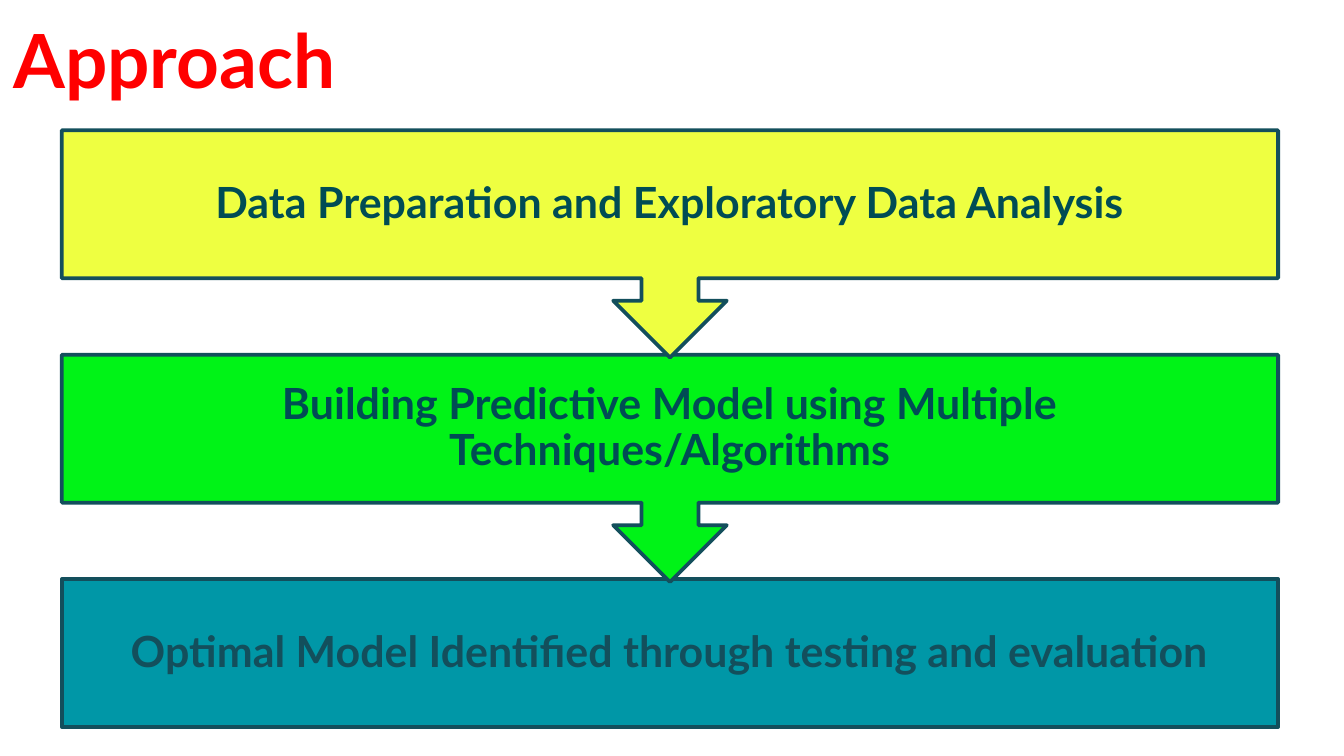
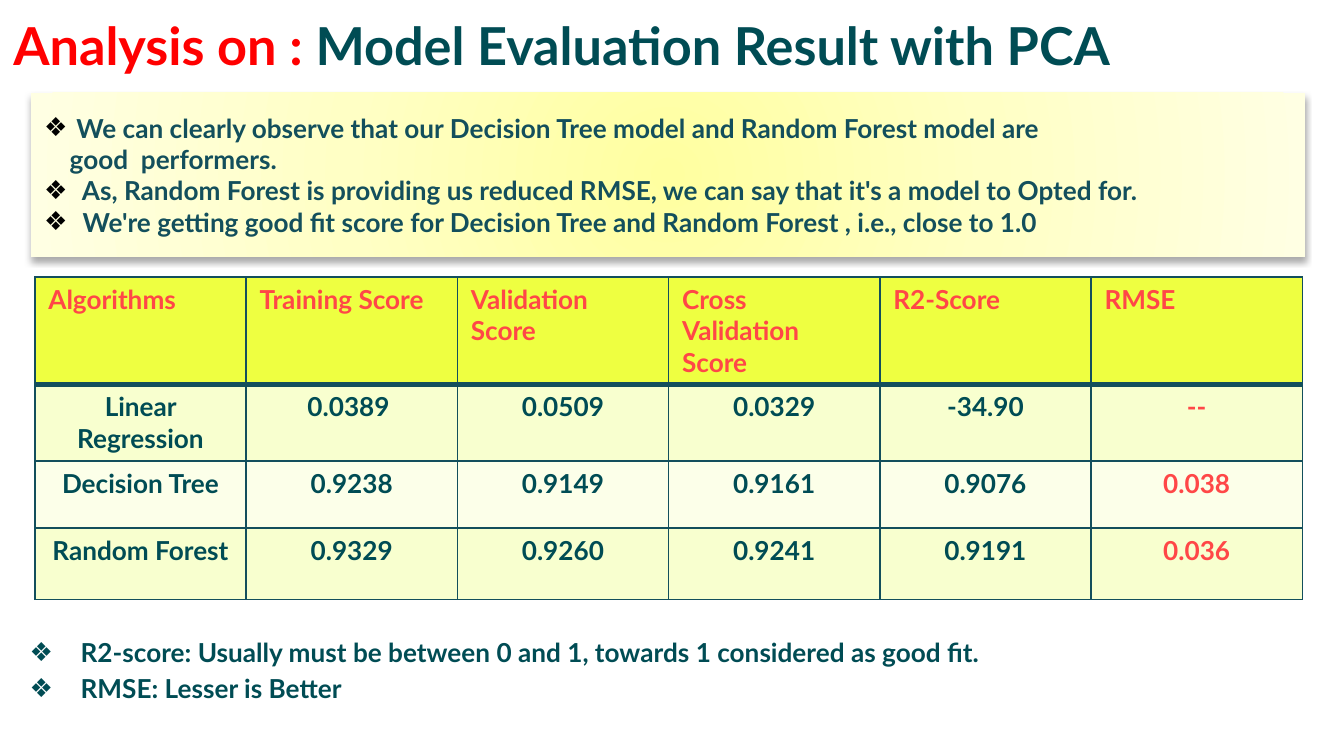
from dataclasses import dataclass

from lxml import etree
from pptx import Presentation
from pptx import util as u
from pptx.dml.color import RGBColor
from pptx.enum import shapes, text
from pptx.oxml import ns


@dataclass(frozen=True)
class Theme:
    font: str = "Lato"
    bullet_font: str = "Arial"
    red: str = "FF0000"
    coral: str = "FF4747"
    deep: str = "004C54"
    slate: str = "134F5C"
    yellow: str = "EEFF41"
    green: str = "00F317"
    teal: str = "0097A7"
    black: str = "000000"
    bands: tuple = ("F8FFCF", "FCFFE9")
    glow: tuple = ((0, "FFFFA0"), (50, "FFFFC5"), (100, "FFFFE3"))
    title_size: int = 40
    subtitle_size: int = 28
    step_size: int = 23
    text_size: int = 14


@dataclass(frozen=True)
class Box:
    left: float
    top: float
    width: float
    height: float

    def lengths(self):
        return [u.Inches(value) for value in (self.left, self.top, self.width, self.height)]


THEME = Theme()
STEPS = [
    ("Data Preparation and Exploratory Data Analysis", THEME.yellow, THEME.deep),
    ("Building Predictive Model using Multiple Techniques/Algorithms", THEME.green, THEME.deep),
    ("Optimal Model Identified through testing and evaluation", THEME.teal, THEME.slate),
]
FINDINGS = [
    ("We can clearly observe that our Decision Tree model and Random Forest model are", True),
    ("good  performers.", False),
    (" As, Random Forest is providing us reduced RMSE, we can say that it's a model to Opted for.", True),
    (" We're getting good fit score for Decision Tree and Random Forest , i.e., close to 1.0", True),
]
SCORES = [
    ["Algorithms", "Training Score", "Validation Score", "Cross Validation Score", "R2-Score", "RMSE"],
    ["Linear Regression", "0.0389 ", "0.0509", "0.0329", "-34.90", "--"],
    ["Decision Tree", "0.9238", "0.9149", "0.9161", "0.9076", "0.038"],
    ["Random Forest", "0.9329", "0.9260", "0.9241", "0.9191", "0.036"],
]
ROW_HEIGHTS = [0.8, 0.57, 0.5, 0.53]
NOTES = [
    "R2-score: Usually must be between 0 and 1, towards 1 considered as good fit.",
    "RMSE: Lesser is Better",
]


def assign(target, values):
    for name, value in values.items():
        setattr(target, name, value)


def add_element(parent, tag, **attributes):
    return etree.SubElement(parent, ns.qn(tag), {name: str(value) for name, value in attributes.items()})


def add_run(paragraph, words, size, color):
    run = paragraph.add_run()
    run.text = words
    assign(run.font, {"name": THEME.font, "size": u.Pt(size), "bold": True})
    run.font.color.rgb = RGBColor.from_string(color)


def format_frame(frame, margin=0.1, vertical_margin=None, anchor=text.MSO_ANCHOR.TOP):
    side = u.Inches(margin)
    vertical = side if vertical_margin is None else u.Inches(vertical_margin)
    assign(frame, {
        "word_wrap": True, "auto_size": text.MSO_AUTO_SIZE.NONE, "vertical_anchor": anchor,
        "margin_left": side, "margin_right": side, "margin_top": vertical, "margin_bottom": vertical,
    })


def add_paragraphs(frame, count):
    return [frame.paragraphs[0]] + [frame.add_paragraph() for _ in range(count - 1)]


def indent(paragraph, left, first=0):
    properties = paragraph._p.get_or_add_pPr()
    properties.set("marL", str(u.Inches(left)))
    properties.set("indent", str(u.Inches(first)))
    return properties


def add_bullet(paragraph, left, hanging, color):
    properties = indent(paragraph, left, -hanging)
    add_element(add_element(properties, "a:buClr"), "a:srgbClr", val=color)
    add_element(properties, "a:buFont", typeface=THEME.bullet_font)
    add_element(properties, "a:buChar", char="❖")


def place(shape, box):
    assign(shape, dict(zip(("left", "top", "width", "height"), box.lengths())))


def fill_title(slide, box, size, parts):
    title = slide.shapes.title
    place(title, box)
    format_frame(title.text_frame)
    paragraph = title.text_frame.paragraphs[0]
    paragraph.alignment = text.PP_ALIGN.LEFT
    for words, color in parts:
        add_run(paragraph, words, size, color)


def add_step(slide, box, arrow_height, words, fill, color):
    kind = shapes.MSO_SHAPE.RECTANGLE
    outline = box
    if arrow_height:
        kind = shapes.MSO_SHAPE.UP_ARROW_CALLOUT
        outline = Box(box.left, box.top, box.width, box.height + arrow_height)
    shape = slide.shapes.add_shape(kind, *outline.lengths())
    if arrow_height:
        shape.rotation = 180
        shape.adjustments[3] = box.height / outline.height
    shape.shadow.inherit = False
    shape.fill.solid()
    shape.fill.fore_color.rgb = RGBColor.from_string(fill)
    shape.line.color.rgb = RGBColor.from_string(THEME.slate)
    shape.line.width = u.Pt(2)

    label = slide.shapes.add_textbox(*box.lengths())
    format_frame(label.text_frame, 0.18, anchor=text.MSO_ANCHOR.MIDDLE)
    paragraph = label.text_frame.paragraphs[0]
    assign(paragraph, {"alignment": text.PP_ALIGN.CENTER, "line_spacing": 0.9})
    add_run(paragraph, words, THEME.step_size, color)


def add_process(slide, box, step_height=1.1, arrow_height=0.59):
    last = len(STEPS) - 1
    pitch = (box.height - step_height) / last
    for index, step in reversed(list(enumerate(STEPS))):
        step_box = Box(box.left, box.top + index * pitch, box.width, step_height)
        add_step(slide, step_box, 0 if index == last else arrow_height, *step)


def add_glow(shape):
    shape.fill.gradient()
    gradient = shape._element.spPr.find(ns.qn("a:gradFill"))
    for child in list(gradient):
        gradient.remove(child)
    stops = add_element(gradient, "a:gsLst")
    for position, color in THEME.glow:
        add_element(add_element(stops, "a:gs", pos=position * 1000), "a:srgbClr", val=color)
    circle = add_element(gradient, "a:path", path="circle")
    add_element(circle, "a:fillToRect", l=50000, t=50000, r=50000, b=50000)


def add_shadow(shape):
    shape.shadow.inherit = False
    effects = shape._element.spPr.find(ns.qn("a:effectLst"))
    shadow = add_element(effects, "a:outerShdw", blurRad=u.Pt(3.5), dist=u.Pt(2.2),
                         dir=90 * 60000, rotWithShape=0)
    add_element(add_element(shadow, "a:srgbClr", val=THEME.black), "a:alpha", val=32000)


def add_findings(slide, box):
    panel = slide.shapes.add_shape(shapes.MSO_SHAPE.RECTANGLE, *box.lengths())
    add_glow(panel)
    panel.line.fill.background()
    add_shadow(panel)
    format_frame(panel.text_frame, 0.1, 0.05, text.MSO_ANCHOR.MIDDLE)
    for paragraph, (words, bulleted) in zip(add_paragraphs(panel.text_frame, len(FINDINGS)), FINDINGS):
        paragraph.alignment = text.PP_ALIGN.LEFT
        if bulleted:
            add_bullet(paragraph, 0.24, 0.24, THEME.black)
        else:
            indent(paragraph, 0.19)
        add_run(paragraph, words, THEME.text_size, THEME.slate)


def format_cell(cell, fill, top=1, bottom=1):
    properties = cell._tc.get_or_add_tcPr()
    for side, width in {"L": 1, "R": 1, "T": top, "B": bottom}.items():
        border = add_element(properties, f"a:ln{side}", w=u.Pt(width))
        add_element(add_element(border, "a:solidFill"), "a:srgbClr", val=THEME.slate)
    cell.fill.solid()
    cell.fill.fore_color.rgb = RGBColor.from_string(fill)


def add_scores(slide, box):
    columns = len(SCORES[0])
    table = slide.shapes.add_table(len(SCORES), columns, *box.lengths()).table
    assign(table, {"first_row": False, "horz_banding": False})
    for column in table.columns:
        column.width = u.Inches(box.width / columns)
    for row, height in zip(table.rows, ROW_HEIGHTS):
        row.height = u.Inches(height * box.height / sum(ROW_HEIGHTS))
    for row_index, values in enumerate(SCORES):
        header = row_index == 0
        fill = THEME.yellow if header else THEME.bands[(row_index - 1) % 2]
        for column_index, value in enumerate(values):
            cell = table.cell(row_index, column_index)
            format_cell(cell, fill, 3 if row_index == 1 else 1, 3 if header else 1)
            paragraph = cell.text_frame.paragraphs[0]
            paragraph.alignment = text.PP_ALIGN.LEFT if header else text.PP_ALIGN.CENTER
            accented = header or column_index == columns - 1
            add_run(paragraph, value, THEME.text_size, THEME.coral if accented else THEME.deep)


def fill_notes(slide, box):
    body = slide.placeholders[1]
    place(body, box)
    format_frame(body.text_frame)
    for paragraph, words in zip(add_paragraphs(body.text_frame, len(NOTES)), NOTES):
        assign(paragraph, {"line_spacing": 1.15, "space_before": u.Pt(0)})
        add_bullet(paragraph, 0.5, 0.38, THEME.deep)
        add_run(paragraph, words, THEME.text_size, THEME.deep)


def build_approach(presentation):
    slide = presentation.slides.add_slide(presentation.slide_layouts.get_by_name("Title Only"))
    fill_title(slide, Box(0, 0, 9.32, 0.82), THEME.title_size, [("Approach", THEME.red)])
    add_process(slide, Box(0.46, 0.97, 9.05, 4.44))


def build_evaluation(presentation):
    slide = presentation.slides.add_slide(presentation.slide_layouts.get_by_name("Title and Content"))
    fill_title(slide, Box(0, 0, 9.32, 0.7), THEME.subtitle_size, [
        ("Analysis on : ", THEME.red),
        ("Model Evaluation Result with PCA", THEME.deep),
    ])
    fill_notes(slide, Box(0, 4.6, 10, 1.03))
    add_findings(slide, Box(0.23, 0.69, 9.48, 1.22))
    add_scores(slide, Box(0.26, 2.06, 9.43, 2.4))


def main():
    presentation = Presentation()
    width = u.Inches(10)
    assign(presentation, {"slide_width": width, "slide_height": width * 9 // 16})
    build_approach(presentation)
    build_evaluation(presentation)
    presentation.save("out.pptx")


if __name__ == "__main__":
    main()
